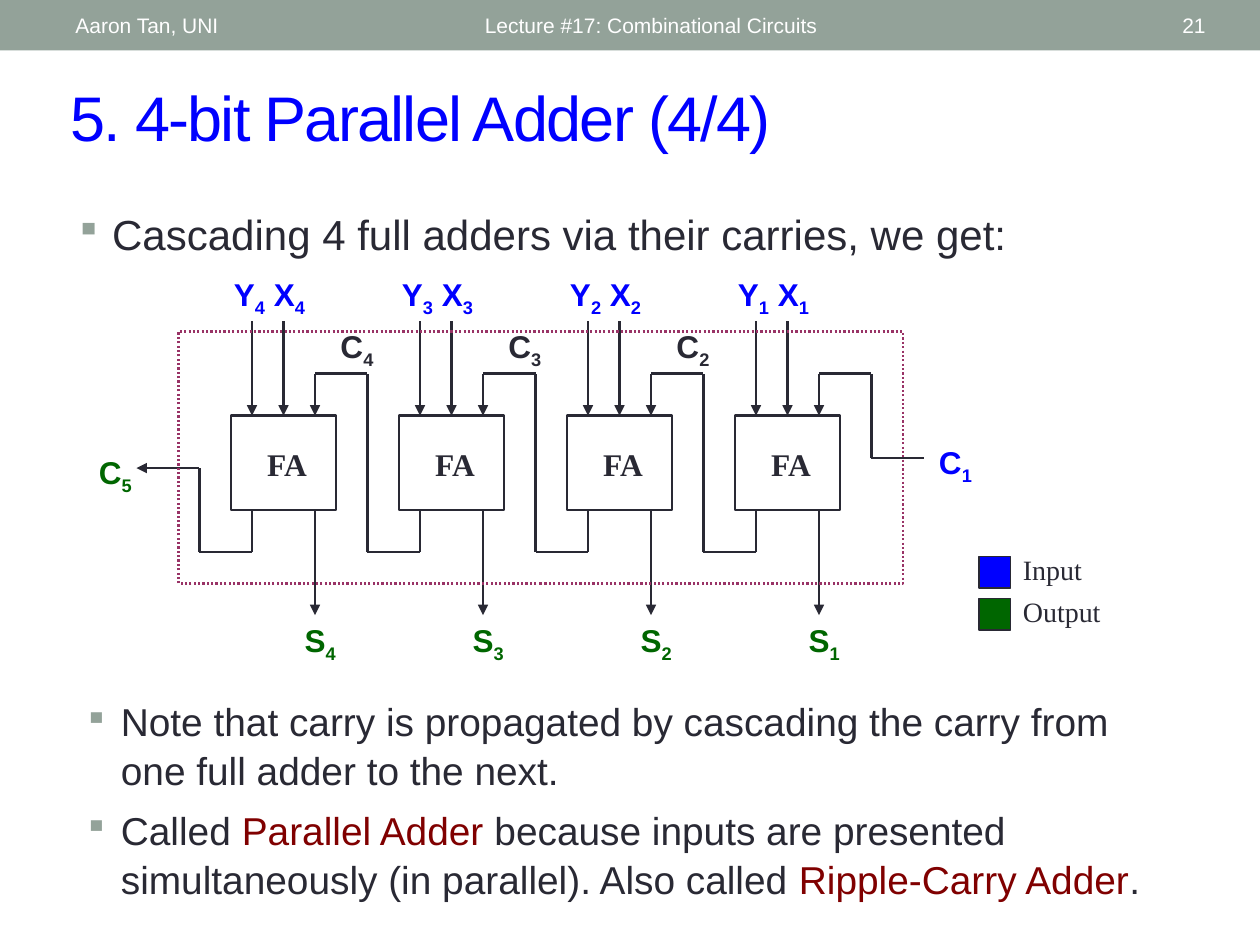
from itertools import pairwise
from lxml import etree
from pptx import Presentation
from pptx.dml.color import RGBColor
from pptx.enum.dml import MSO_LINE
from pptx.enum.shapes import MSO_CONNECTOR, MSO_SHAPE
from pptx.enum.text import MSO_ANCHOR, PP_ALIGN
from pptx.oxml.ns import qn
from pptx.util import Pt

WHITE = RGBColor(0xFF, 0xFF, 0xFF)
SAGE = RGBColor(0x93, 0xA2, 0x99)
INK = RGBColor(0x29, 0x29, 0x34)
BLUE = RGBColor(0x00, 0x00, 0xFF)
GREEN = RGBColor(0x00, 0x66, 0x00)
PLUM = RGBColor(0x99, 0x33, 0x66)
MAROON = RGBColor(0x80, 0x00, 0x00)

HEADER = dict(name="Arial", size=Pt(12), color=WHITE)
TITLE = dict(name="Arial", size=Pt(36), color=BLUE)
LABEL = dict(name="Arial", size=Pt(18), bold=True)
ADDER = dict(name="Times New Roman", size=Pt(18), bold=True, color=INK)
LEGEND = dict(name="Times New Roman", size=Pt(16), color=INK)
BODY = dict(name="Arial", color=INK)


def add_run(p, text, fmt, **attrs):
    r = p.add_run()
    r.text = text
    for key, value in fmt.items():
        if key == "color":
            r.font.color.rgb = value
        else:
            setattr(r.font, key, value)
    for key, value in attrs.items():
        r._r.get_or_add_rPr().set(key, value)


def add_text(s, x, y, w, h, align=PP_ALIGN.LEFT, anchor=MSO_ANCHOR.TOP):
    tf = s.shapes.add_textbox(Pt(x), Pt(y), Pt(w), Pt(h)).text_frame
    tf.word_wrap = True
    tf.vertical_anchor = anchor
    tf.paragraphs[0].alignment = align
    return tf


def add_label(s, x, y, w, names, color):
    p = add_text(s, x, y, w, 29, PP_ALIGN.CENTER).paragraphs[0]
    fmt = dict(LABEL, color=color)
    for i, (letter, digit) in enumerate(names):
        add_run(p, f" {letter}" if i else letter, fmt)
        add_run(p, digit, fmt, baseline="-25000")


def add_rect(s, x, y, w, h, fill=None, line=None, width=0.75):
    sp = s.shapes.add_shape(MSO_SHAPE.RECTANGLE, Pt(x), Pt(y), Pt(w), Pt(h))
    sp.shadow.inherit = False
    if fill is None:
        sp.fill.background()
    else:
        sp.fill.solid()
        sp.fill.fore_color.rgb = fill
    if line is None:
        sp.line.fill.background()
    else:
        sp.line.color.rgb = line
        sp.line.width = Pt(width)
    return sp


def add_wire(s, points, arrow=True):
    for a, b in pairwise(points):
        cxn = s.shapes.add_connector(MSO_CONNECTOR.STRAIGHT, *map(Pt, a + b))
        cxn.line.color.rgb = INK
        cxn.line.width = Pt(1.25)
        etree.SubElement(cxn._element.spPr, qn("a:effectLst"))
    if arrow:
        etree.SubElement(cxn.line._get_or_add_ln(), qn("a:tailEnd"), type="triangle")
    return cxn


def add_header(s, x, y, w, h):
    add_rect(s, x, y, w, h, SAGE)
    for dx, width, text, align in (
        (270, 324, "Lecture #17: Combinational Circuits", PP_ALIGN.LEFT),
        (628, 68, "21", PP_ALIGN.RIGHT),
        (36, 228, "Aaron Tan, UNI", PP_ALIGN.LEFT),
    ):
        tf = add_text(s, x + dx, y + 1.5, width, h - 3, align, MSO_ANCHOR.MIDDLE)
        add_run(tf.paragraphs[0], text, HEADER)


def add_title(s, x, y, w, h, text):
    sp = s.shapes.title
    sp.left, sp.top, sp.width, sp.height = map(Pt, (x, y, w, h))
    tf = sp.text_frame
    tf.vertical_anchor = MSO_ANCHOR.MIDDLE
    p = tf.paragraphs[0]
    p.alignment = PP_ALIGN.LEFT
    add_run(p, text, TITLE, spc="-100")


def add_bullets(s, x, y, w, h, size, items):
    tf = add_text(s, x, y, w, h)
    for i, item in enumerate(items):
        p = tf.add_paragraph() if i else tf.paragraphs[0]
        p.space_before = Pt(6)
        p.line_spacing = 1.05
        pPr = p._p.get_or_add_pPr()
        pPr.set("marL", str(Pt(21)))
        pPr.set("indent", str(-Pt(21)))
        clr = etree.SubElement(pPr, qn("a:buClr"))
        etree.SubElement(clr, qn("a:srgbClr"), val=str(SAGE))
        etree.SubElement(pPr, qn("a:buSzPct"), val="85000")
        etree.SubElement(pPr, qn("a:buChar"), char="▪")
        for text, color in item:
            add_run(p, text, dict(BODY, size=Pt(size), color=color))


def add_stage(s, x, y, digit):
    n = str(digit)
    top, bottom = y + 84, y + 138
    add_label(s, x - 12, y, 68, [("Y", n), ("X", n)], BLUE)
    box = add_rect(s, x, top, 60, 54, line=INK, width=1.5)
    p = add_text(s, x + 8, y + 97, 48, 29, PP_ALIGN.CENTER).paragraphs[0]
    add_run(p, "FA", ADDER)
    add_wire(s, [(x + 12, y + 30), (x + 12, top)])
    add_wire(s, [(x + 30, y + 30), (x + 30, top)]).end_connect(box, 0)
    add_wire(s, [(x + 48, bottom), (x + 48, y + 198)])
    add_label(s, x + 30, y + 198, 42, [("S", n)], GREEN)
    carry_in = [(x + 78, y + 60), (x + 48, y + 60), (x + 48, top)]
    if digit > 1:
        add_label(s, x + 54, y + 30, 36, [("C", n)], INK)
        source = [(x + 108, bottom), (x + 108, y + 162), (x + 78, y + 162)]
    else:
        source = [(x + 108, y + 108), (x + 78, y + 108)]
    add_wire(s, source + carry_in)


def add_adder(s, x, y, w, h):
    first, pitch = x + 84, 96
    for i, digit in enumerate((4, 3, 2, 1)):
        add_stage(s, first + i * pitch, y, digit)
    add_wire(s, [(first + 12, y + 138), (first + 12, y + 162), (x + 66, y + 162),
                 (x + 66, y + 114), (x + 30, y + 114)])
    add_label(s, x, y + 102, 36, [("C", "5")], GREEN)
    add_label(s, x + w - 36, y + 96, 36, [("C", "1")], BLUE)
    frame = add_rect(s, x + 54, y + 36, w - 102, h - 84, line=PLUM, width=1.25)
    frame.line.dash_style = MSO_LINE.ROUND_DOT


def add_legend(s, x, y, w, h):
    for i, (text, color) in enumerate((("Input", BLUE), ("Output", GREEN))):
        top = y + i * h / 2
        add_rect(s, x, top + 6, 18, 18, color, INK)
        p = add_text(s, x + 18, top, w - 18, 26.5).paragraphs[0]
        add_run(p, text, LEGEND)


def main():
    prs = Presentation()
    prs.slide_width, prs.slide_height = Pt(720), Pt(540)
    s = prs.slides.add_slide(prs.slide_layouts[5])
    add_header(s, 0, 0, 720, 28.8)
    add_title(s, 33, 41, 663, 50.5, "5. 4-bit Parallel Adder (4/4)")
    add_bullets(s, 36, 114, 636, 45, 24, [
        [("Cascading 4 full adders via their carries, we get:", INK)],
    ])
    add_adder(s, 48, 153.5, 516, 228)
    add_legend(s, 559.5, 312, 90, 48)
    add_bullets(s, 41, 394, 636, 121, 22.2, [
        [("Note that carry is propagated by cascading the carry from "
          "one full adder to the next.", INK)],
        [("Called ", INK), ("Parallel Adder", MAROON),
         (" because inputs are presented simultaneously (in parallel). "
          "Also called ", INK),
         ("Ripple-Carry Adder", MAROON), (".", INK)],
    ])
    prs.save("out.pptx")


if __name__ == "__main__":
    main()
